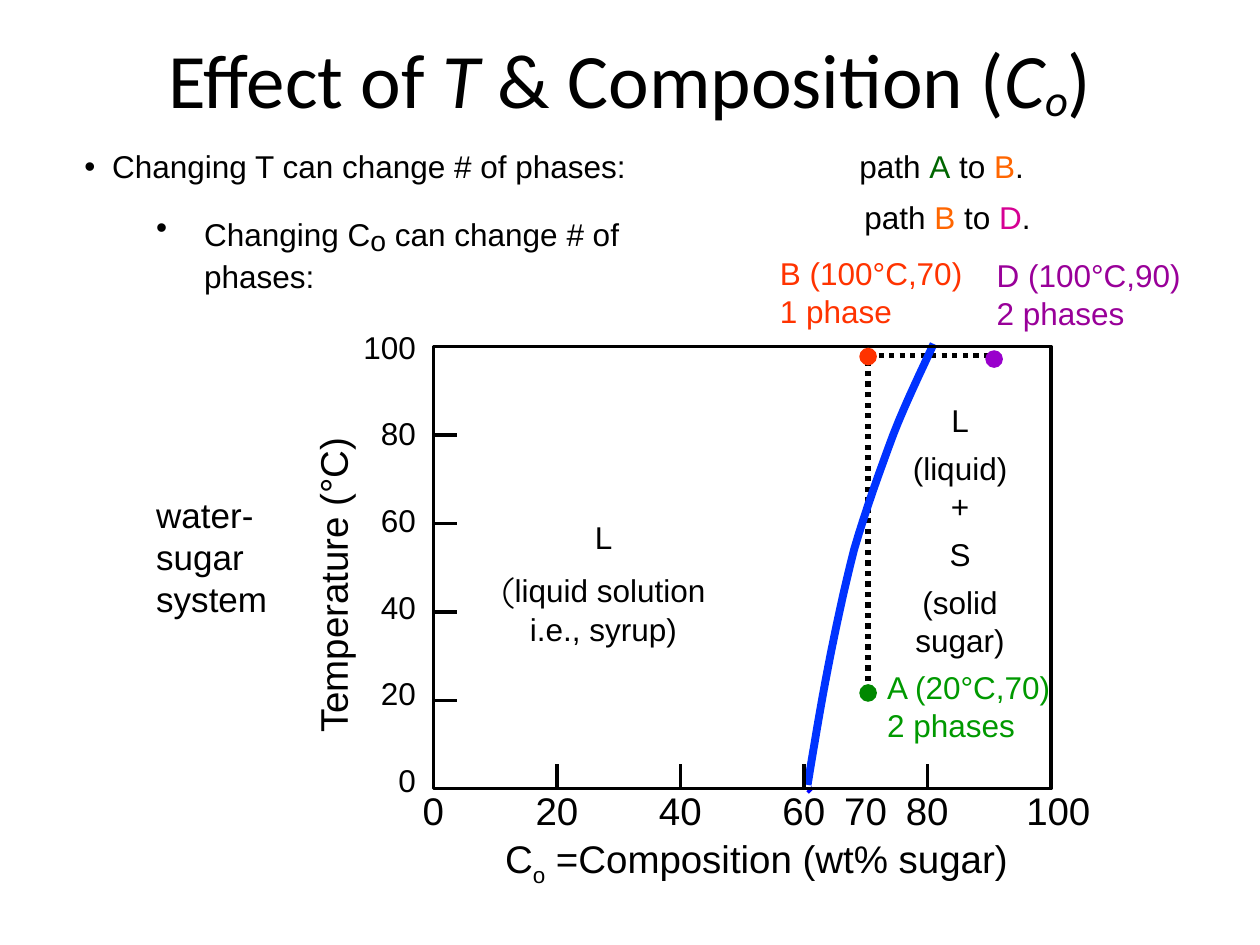
from dataclasses import dataclass

import pptx
import pptx.dml.color
import pptx.enum.dml
import pptx.enum.shapes
import pptx.enum.text
import pptx.oxml
import pptx.oxml.ns
import pptx.util
from pptx.util import Inches

ALIGN = pptx.enum.text.PP_ALIGN
ANCHOR = pptx.enum.text.MSO_ANCHOR


class Theme:
    font, title_font, paren_font = "Arial", "Calibri", "Quicksand"
    title, axis, note, body, subscript = 44, 22, 20, 18, 28
    ink, curve, tail = "000000", "0033FF", "0000FF"
    a_path, b_path, d_path = "006600", "FF6600", "D60093"
    a_text, b_text, d_text = "009900", "FF3300", "990099"
    a_dot, b_dot, d_dot = "008800", "FF3300", "9900CC"


@dataclass
class Box:
    left: float
    top: float
    width: float
    height: float

    def inner(self, left, top, width, height):
        """Box placed by its offset from this one."""
        return Box(self.left + left, self.top + top, width, height)

    def inches(self):
        return [Inches(value) for value in (self.left, self.top, self.width, self.height)]


def color(value):
    return pptx.dml.color.RGBColor.from_string(value)


def add_text(slide, box, paragraphs, size=Theme.body, ink=Theme.ink, font=Theme.font,
             align=ALIGN.LEFT, anchor=ANCHOR.TOP, wrap=False, gaps=None, hanging=0, rotation=0):
    """Each paragraph is a string or a list of strings and (text, format) runs.

    gaps maps a paragraph's index to the points before it; hanging adds a bullet.
    """
    shape = slide.shapes.add_textbox(*box.inches())
    shape.rotation = rotation
    frame = shape.text_frame
    frame.margin_left = frame.margin_right = frame.margin_top = frame.margin_bottom = 0
    frame.word_wrap = wrap
    frame.vertical_anchor = anchor
    for index, runs in enumerate(paragraphs):
        paragraph = frame.add_paragraph() if index else frame.paragraphs[0]
        paragraph.alignment = align
        if gaps and index in gaps:
            paragraph.space_before = pptx.util.Pt(gaps[index])
        if hanging:
            properties = paragraph._p.get_or_add_pPr()
            properties.set("marL", str(Inches(hanging)))
            properties.set("indent", str(-Inches(hanging)))
            for tag in (f'buFont {{}} typeface="{font}"', 'buChar {} char="•"'):
                properties.append(pptx.oxml.parse_xml(
                    f'<a:{tag.format(pptx.oxml.ns.nsdecls("a"))}/>'))
        for item in [runs] if isinstance(runs, str) else runs:
            text, style = (item, {}) if isinstance(item, str) else item
            run = paragraph.add_run()
            run.text = text
            run.font.name = style.get("font", font)
            run.font.size = pptx.util.Pt(style.get("size", size))
            run.font.color.rgb = color(style.get("ink", ink))
            run.font.italic = style.get("italic", False)
            if "baseline" in style:
                run.font._element.set("baseline", str(style["baseline"] * 1000))
    return shape


def add_line(slide, start, end, ink=Theme.ink, width=2, dotted=False):
    line = slide.shapes.add_connector(pptx.enum.shapes.MSO_CONNECTOR.STRAIGHT,
                                      *[Inches(value) for value in (*start, *end)])
    line.line.color.rgb = color(ink)
    line.line.width = pptx.util.Pt(width)
    if dotted:
        line.line.dash_style = pptx.enum.dml.MSO_LINE.ROUND_DOT
    line._element.spPr.append(
        pptx.oxml.parse_xml(f'<a:effectLst {pptx.oxml.ns.nsdecls("a")}/>'))


def add_dot(slide, center, ink, size=0.14):
    box = Box(center[0] - size / 2, center[1] - size / 2, size, size)
    dot = slide.shapes.add_shape(pptx.enum.shapes.MSO_SHAPE.OVAL, *box.inches())
    dot.shadow.inherit = False
    dot.fill.solid()
    dot.fill.fore_color.rgb = color(ink)
    dot.line.fill.background()


def add_heading(slide, box):
    italic = {"italic": True}
    add_text(slide, box, [["Effect of ", ("T", italic), " & Composition (", ("C", italic),
                           ("o", {"italic": True, "baseline": -10}), ")"]],
             size=Theme.title, font=Theme.title_font, align=ALIGN.CENTER,
             anchor=ANCHOR.MIDDLE, wrap=True)


def add_statements(slide, box):
    """Two bulleted statements on the left, the matching paths on the right."""
    add_text(slide, box.inner(0, 0, 5.88, 0.3), ["Changing T can change # of phases:"],
             wrap=True, hanging=0.22)
    subscript = ("o", {"size": Theme.subscript, "baseline": -10})
    add_text(slide, box.inner(0.57, 0.4, 4.46, 0.72),
             [["Changing C", subscript, " can change # of phases:"]], wrap=True, hanging=0.38)
    paths = [(6.15, 0, "A", Theme.a_path, "B", Theme.b_path),
             (6.19, 0.4, "B", Theme.b_path, "D", Theme.d_path)]
    for left, top, start, start_ink, end, end_ink in paths:
        add_text(slide, box.inner(left, top, 1.4, 0.3),
                 [["path ", (start, {"ink": start_ink}), " to ", (end, {"ink": end_ink}), "."]],
                 wrap=True)


def add_axes(slide, plot):
    """Frame, ticks, tick labels and axis titles."""
    bottom = plot.top + plot.height
    frame = slide.shapes.add_shape(pptx.enum.shapes.MSO_SHAPE.RECTANGLE, *plot.inches())
    frame.shadow.inherit = False
    frame.fill.background()
    frame.line.color.rgb = color(Theme.ink)
    frame.line.width = pptx.util.Pt(2)

    for value in (0, 20, 40, 60, 70, 80, 100):
        x = plot.left + plot.width * value / 100
        nudge = 0.06 if value == 100 else 0
        add_text(slide, Box(x - 0.4 + nudge, bottom - 0.01, 0.8, 0.37), [str(value)],
                 size=Theme.axis, align=ALIGN.CENTER, wrap=True)
        if value in (20, 40, 60, 80):
            add_line(slide, (x, bottom), (x, bottom - 0.2))
    for value in range(0, 101, 20):
        y = bottom - plot.height * value / 100
        label_top = bottom - 0.22 - 3.44 * value / 100
        add_text(slide, Box(plot.left - 0.74, label_top, 0.6, 0.3), [str(value)],
                 align=ALIGN.RIGHT, wrap=True)
        if 0 < value < 100:
            add_line(slide, (plot.left, y), (plot.left + 0.19, y))

    add_text(slide, plot.inner(-1.99, 1.69, 2.38, 0.37), ["Temperature (°C)"],
             size=Theme.axis, rotation=270)
    add_text(slide, plot.inner(0.57, 3.88, 4.2, 0.42),
             [["C", ("o", {"baseline": -25}), " =Composition (wt% sugar)"]],
             size=Theme.axis, wrap=True)


def add_solubility_curve(slide, plot):
    """Smooth limit through cubic segments, offsets taken from the plot's corner."""
    controls = [(2.97, 3.48), (3.02, 3.18), (3.07, 2.87), (3.13, 2.56), (3.19, 2.25),
                (3.26, 1.92), (3.34, 1.61), (3.43, 1.3), (3.55, 0.97), (3.65, 0.7),
                (3.76, 0.42), (3.87, 0.2), (3.97, -0.02)]
    steps = 8
    points = [controls[0]]
    for first in range(0, len(controls) - 1, 3):
        for step in range(1, steps + 1):
            t = step / steps
            weights = ((1 - t) ** 3, 3 * t * (1 - t) ** 2, 3 * t * t * (1 - t), t ** 3)
            points.append([sum(weight * control[axis] for weight, control
                               in zip(weights, controls[first:first + 4])) for axis in (0, 1)])
    vertices = [(Inches(plot.left + x), Inches(plot.top + y)) for x, y in points]
    builder = slide.shapes.build_freeform(*vertices[0])
    builder.add_line_segments(vertices[1:], close=False)
    curve = builder.convert_to_shape()
    curve.shadow.inherit = False
    curve.fill.background()
    curve.line.color.rgb = color(Theme.curve)
    curve.line.width = pptx.util.Pt(4.5)
    add_line(slide, (plot.left + 3, plot.top + 3.53), (plot.left + 2.98, plot.top + 3.51),
             ink=Theme.tail, width=4)


def add_phase_regions(slide, plot):
    add_text(slide, plot.inner(0.4, 1.36, 1.9, 1.02),
             ["L", [("(", {"font": Theme.paren_font, "size": Theme.note}), "liquid solution"],
              "i.e., syrup)"], align=ALIGN.CENTER, wrap=True, gaps={1: 7})
    add_text(slide, plot.inner(3.68, 0.43, 1, 2.05),
             ["L", "(liquid)", "+", "S", "(solid", "sugar)"],
             align=ALIGN.CENTER, wrap=True, gaps={1: 6, 3: 6, 4: 6})


def add_states(slide, plot):
    """States A, B and D with their labels."""
    states = [((3.45, 2.75), Theme.a_dot, (3.6, 2.55), "A (20°C,70)", "2 phases", Theme.a_text),
              ((3.45, 0.08), Theme.b_dot, (2.75, -0.73), "B (100°C,70)", "1 phase", Theme.b_text),
              ((4.45, 0.1), Theme.d_dot, (4.47, -0.72), "D (100°C,90)", "2 phases", Theme.d_text)]
    for (x, y), dot_ink, label, name, phases, ink in states:
        add_dot(slide, (plot.left + x, plot.top + y), dot_ink)
        add_text(slide, plot.inner(*label, 1.65, 0.6), [name, phases], ink=ink, wrap=True)


def add_diagram(slide, plot):
    corner = (plot.left + 3.45, plot.top + 0.07)
    add_line(slide, corner, (corner[0] + 1, corner[1]), width=3, dotted=True)
    add_line(slide, (corner[0], corner[1] + 2.67), corner, width=3, dotted=True)
    add_solubility_curve(slide, plot)
    add_axes(slide, plot)
    add_phase_regions(slide, plot)
    add_states(slide, plot)


def main():
    presentation = pptx.Presentation()
    presentation.slide_width, presentation.slide_height = Inches(10), Inches(7.5)
    slide = presentation.slides.add_slide(presentation.slide_layouts[6])
    add_heading(slide, Box(0.75, 0, 8.5, 1.25))
    add_statements(slide, Box(0.67, 1.17, 7.6, 1.2))
    add_diagram(slide, Box(3.44, 2.75, 4.9, 3.51))
    add_text(slide, Box(1.24, 3.92, 1.1, 1), ["water-", "sugar", "system"],
             size=Theme.note, wrap=True)
    presentation.save("out.pptx")


if __name__ == "__main__":
    main()
